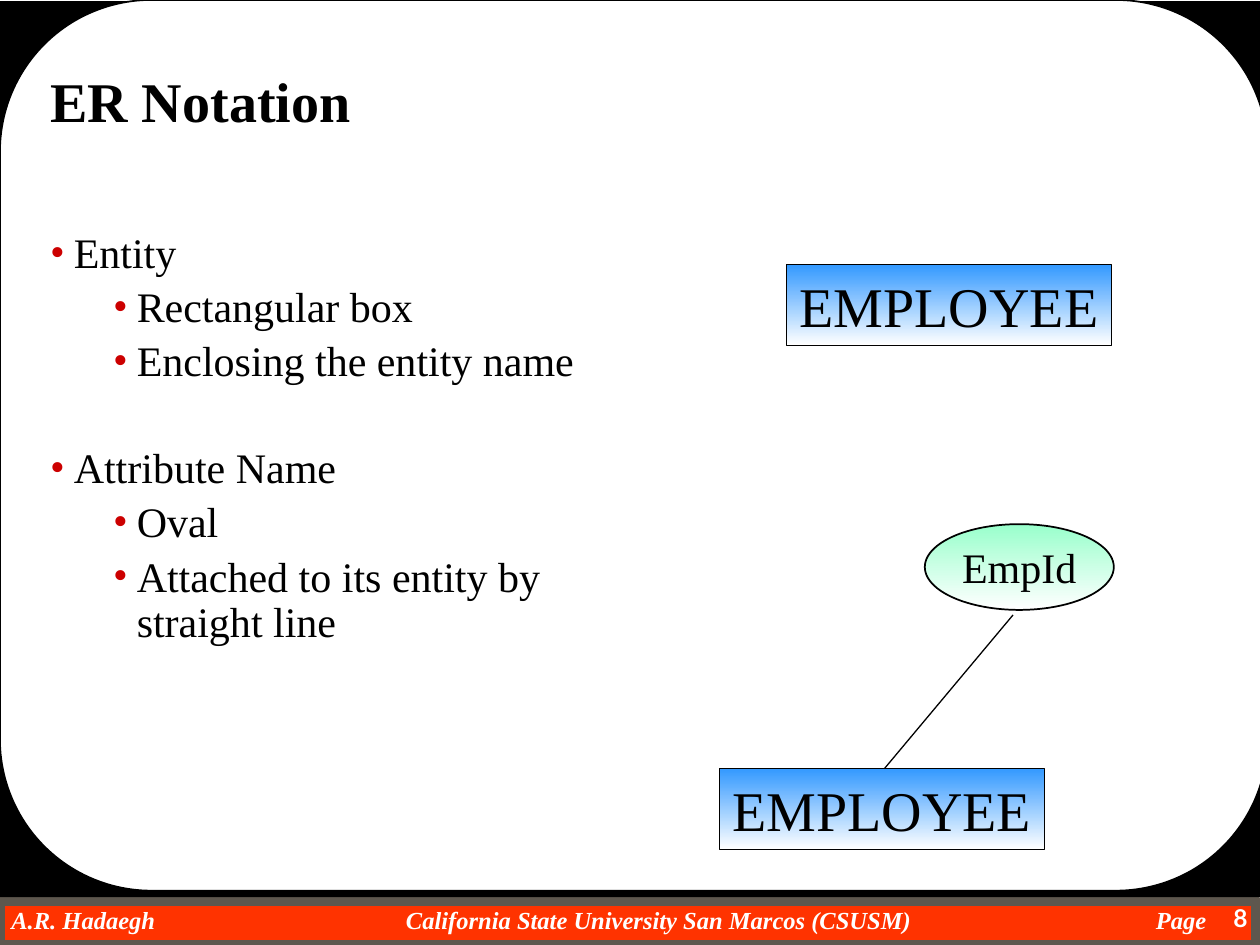
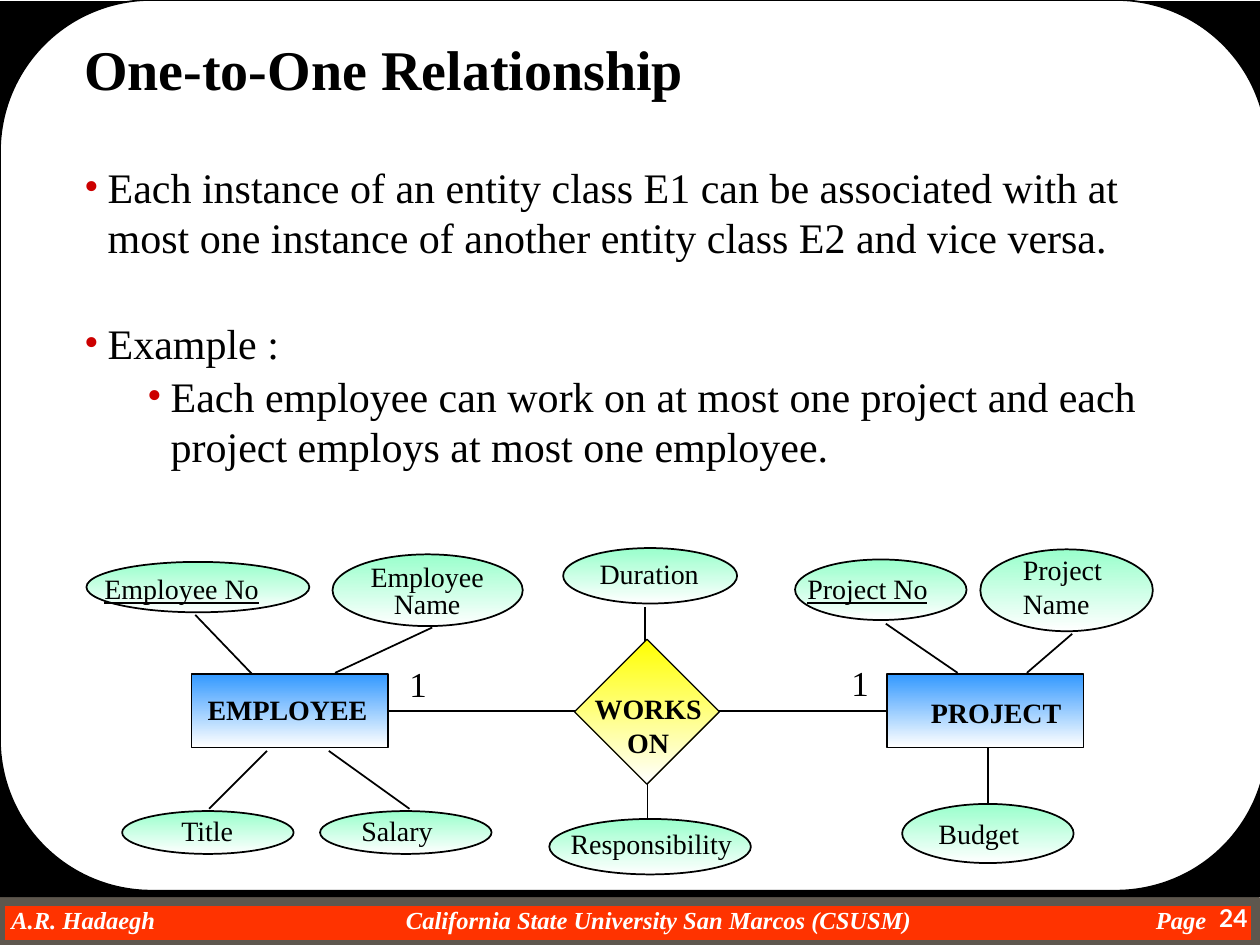
"""Build two entity-relationship lecture slides with a shared frame and footer."""
from dataclasses import dataclass
from typing import NamedTuple

from lxml.etree import SubElement
from pptx import Presentation
from pptx.dml.color import RGBColor
from pptx.enum.shapes import MSO_CONNECTOR, MSO_SHAPE
from pptx.enum.text import MSO_ANCHOR, MSO_AUTO_SIZE, PP_ALIGN
from pptx.oxml.ns import qn
from pptx.util import Pt

COLORS = {
    "ink": "000000",
    "paper": "FFFFFF",
    "band": "FF3300",
    "band_edge": "5E574E",
    "bullet": "CC0000",
    "entity": "3399FF",
    "attribute": "99FFCC",
    "relationship": "FFFF00",
}
SERIF = "Times New Roman"
PAGE_FONT = "Lato"
FOOTER = "A.R. Hadaegh\tCalifornia State University San Marcos (CSUSM)\tPage"
FOOTER_TABS = (225.5, 654)
INDENTS = (13.5, 49.5)
HANGING = 13.5


class Box(NamedTuple):
    left: float
    top: float
    width: float
    height: float

    def points(self) -> list:
        return [Pt(value) for value in self]


class Link(NamedTuple):
    x1: float
    y1: float
    x2: float
    y2: float


class Bullet(NamedTuple):
    text: str
    level: int
    before: float


@dataclass(frozen=True)
class Style:
    size: float = 16
    color: str = "ink"
    font: str = SERIF
    bold: bool = False
    italic: bool = False
    underline: bool = False
    align: PP_ALIGN = PP_ALIGN.LEFT
    spacing: float = 1.0


@dataclass(frozen=True)
class Kind:
    preset: MSO_SHAPE
    color: str
    edge: float


@dataclass(frozen=True)
class Node:
    kind: Kind
    box: Box
    label: str
    label_box: Box
    style: Style = Style()


ENTITY = Kind(MSO_SHAPE.RECTANGLE, "entity", 0.75)
ATTRIBUTE = Kind(MSO_SHAPE.OVAL, "attribute", 1)
RELATIONSHIP = Kind(MSO_SHAPE.DIAMOND, "relationship", 0.75)

TITLE = Style(32, bold=True, spacing=0.8)
FOOTER_STYLE = Style(14, "paper", bold=True, italic=True)
PAGE_STYLE = Style(14, "paper", PAGE_FONT, bold=True, align=PP_ALIGN.RIGHT)
BIG_ENTITY = Style(32, align=PP_ALIGN.CENTER)
BIG_ATTRIBUTE = Style(24, align=PP_ALIGN.CENTER)
ENTITY_NAME = Style(bold=True)
RELATIONSHIP_NAME = Style(bold=True, align=PP_ALIGN.CENTER)
KEY = Style(underline=True)
TIGHT = Style(align=PP_ALIGN.CENTER, spacing=0.8)
CARDINALITY = Style(20)

NOTATION_BULLETS = [
    Bullet("Entity", 0, 56.5),
    Bullet("Rectangular box", 1, 5),
    Bullet("Enclosing the entity name", 1, 5),
    Bullet("Attribute Name", 0, 35.5),
    Bullet("Oval", 1, 5),
    Bullet("Attached to its entity by straight line", 1, 5),
]
RELATION_BULLETS = [
    Bullet("Each instance of an entity class E1 can be associated with at most one "
           "instance of another entity class E2 and vice versa.", 0, 34),
    Bullet("Example :", 0, 31.5),
    Bullet("Each employee can work on at most one project and each project employs "
           "at most one employee.", 1, 1.5),
]
NOTATION_NODES = [
    (ENTITY, Box(449.5, 151.2, 185.8, 46.1), "EMPLOYEE", BIG_ENTITY),
    (ENTITY, Box(411.1, 439.2, 185.8, 46.1), "EMPLOYEE", BIG_ENTITY),
    (ATTRIBUTE, Box(528.5, 299.5, 108, 49), "EmpId", BIG_ATTRIBUTE),
]
RELATION_NODES = [
    Node(ENTITY, Box(109.4, 385.2, 112.3, 41.8), "EMPLOYEE",
         Box(111.6, 392.4, 105.8, 26), ENTITY_NAME),
    Node(ENTITY, Box(506.9, 385.2, 112.3, 41.8), "PROJECT",
         Box(524.9, 393.8, 90, 26), ENTITY_NAME),
    Node(RELATIONSHIP, Box(328.3, 365.3, 82.8, 82.8), "WORKS\nON",
         Box(332.6, 391.7, 75.6, 45.4), RELATIONSHIP_NAME),
    Node(ATTRIBUTE, Box(49.4, 321.1, 127.4, 28.8), "Employee No",
         Box(52.6, 323.3, 103, 26), KEY),
    Node(ATTRIBUTE, Box(190, 316.8, 108.7, 41), "Employee\nName",
         Box(204.5, 319.7, 79.2, 37.4), TIGHT),
    Node(ATTRIBUTE, Box(69.8, 463.5, 98, 24.5), "Title", Box(96.5, 461.5, 44.6, 26)),
    Node(ATTRIBUTE, Box(182.9, 463.5, 98, 24.5), "Salary", Box(199.4, 461.5, 55.4, 26)),
    Node(ATTRIBUTE, Box(321.8, 313.2, 99.4, 31.7), "Duration",
         Box(335.5, 314.6, 71.3, 26)),
    Node(ATTRIBUTE, Box(313.9, 468, 115.2, 31.7), "Responsibility",
         Box(319, 468.7, 107.3, 26)),
    Node(ATTRIBUTE, Box(454.3, 319.7, 98, 34.6), "Project No",
         Box(454.3, 323.3, 83.5, 26), KEY),
    Node(ATTRIBUTE, Box(560.2, 313.9, 98.6, 46.8), "Project\nName",
         Box(577.4, 312.5, 59.8, 45.4)),
    Node(ATTRIBUTE, Box(515.5, 459.4, 98, 33.8), "Budget", Box(529.2, 463, 60.5, 26)),
]
RELATION_LINKS = [
    Link(111.6, 351.4, 145.4, 386.6),
    Link(247, 358.6, 191.5, 384.5),
    Link(152.6, 429.1, 119.5, 462.2),
    Link(187.9, 429.1, 234, 462.2),
    Link(221, 406.1, 337, 406.1),
    Link(406.8, 406.1, 506.9, 406.1),
    Link(368.6, 347, 368.6, 367.2),
    Link(370, 447.8, 370, 468),
    Link(506.2, 356.4, 547.2, 384.5),
    Link(612.7, 362.2, 586.8, 384.5),
    Link(564.5, 427.7, 564.5, 459.4),
]
CARDINALITY_BOXES = [Box(226.8, 375.1, 24.5, 31), Box(479.5, 374.4, 24.5, 31)]


def rgb(name: str) -> RGBColor:
    return RGBColor.from_string(COLORS[name])


def add_text(paragraph, text: str, style: Style) -> None:
    paragraph.alignment = style.align
    paragraph.line_spacing = style.spacing
    run = paragraph.add_run()
    run.text = text
    font = run.font
    font.name, font.size, font.color.rgb = style.font, Pt(style.size), rgb(style.color)
    font.bold, font.italic, font.underline = style.bold, style.italic, style.underline


def write_lines(frame, text: str, style: Style) -> None:
    for number, line in enumerate(text.split("\n")):
        add_text(frame.add_paragraph() if number else frame.paragraphs[0], line, style)


def add_label(slide, box: Box, text: str, style: Style, wrap: bool = False):
    frame = slide.shapes.add_textbox(*box.points()).text_frame
    frame.word_wrap = wrap
    if not wrap:
        frame.auto_size = MSO_AUTO_SIZE.SHAPE_TO_FIT_TEXT
    write_lines(frame, text, style)
    return frame


def add_block(slide, preset: MSO_SHAPE, box: Box, fill: str, line: str, edge: float):
    block = slide.shapes.add_shape(preset, *box.points())
    block.shadow.inherit = False
    block.fill.solid()
    block.fill.fore_color.rgb = rgb(fill)
    block.line.color.rgb = rgb(line)
    block.line.width = Pt(edge)
    return block


def add_figure(slide, kind: Kind, box: Box):
    figure = add_block(slide, kind.preset, box, kind.color, "ink", kind.edge)
    figure.fill.gradient()
    figure.fill.gradient_angle = 270
    for stop, color in zip(figure.fill.gradient_stops, (kind.color, "paper")):
        stop.color.rgb = rgb(color)
    return figure


def add_link(slide, link: Link, width: float) -> None:
    connector = slide.shapes.add_connector(
        MSO_CONNECTOR.STRAIGHT, *[Pt(value) for value in link])
    connector.line.color.rgb = rgb("ink")
    connector.line.width = Pt(width)
    SubElement(connector._element.spPr, qn("a:effectLst"))


def add_frame(slide, page: int) -> None:
    add_block(slide, MSO_SHAPE.RECTANGLE, Box(0, 514.8, 717.8, 25.2),
              "band", "band_edge", 6)
    credit = slide.shapes.add_textbox(*Box(6.5, 517, 690.5, 16.6).points()).text_frame
    credit.margin_left = credit.margin_right = credit.margin_top = credit.margin_bottom = 0
    credit.word_wrap = True
    tabs = SubElement(credit.paragraphs[0]._p.get_or_add_pPr(), qn("a:tabLst"))
    for position in FOOTER_TABS:
        SubElement(tabs, qn("a:tab"), pos=str(Pt(position)), algn="l")
    add_text(credit.paragraphs[0], FOOTER, FOOTER_STYLE)
    backdrop = add_block(slide, MSO_SHAPE.RECTANGLE, Box(0, 0.7, 720, 512),
                         "ink", "ink", 0.75)
    backdrop.line.fill.background()
    panel = add_block(slide, MSO_SHAPE.ROUNDED_RECTANGLE, Box(0, 0, 724.3, 509),
                      "paper", "ink", 1)
    panel.adjustments[0] = 0.17
    add_label(slide, Box(666, 512.6, 54, 27.4), str(page), PAGE_STYLE, wrap=True)


def add_outline(slide, box: Box, title: str, bullets: list[Bullet], spacing: float) -> None:
    frame = add_label(slide, box, title, TITLE, wrap=True)
    for bullet in bullets:
        paragraph = frame.add_paragraph()
        properties = paragraph._p.get_or_add_pPr()
        properties.set("marL", str(Pt(INDENTS[bullet.level])))
        properties.set("indent", str(-Pt(HANGING)))
        tint = SubElement(properties, qn("a:buClr"))
        SubElement(tint, qn("a:srgbClr"), val=COLORS["bullet"])
        SubElement(properties, qn("a:buFont"), typeface=SERIF)
        SubElement(properties, qn("a:buChar"), char="•")
        paragraph.level = bullet.level
        paragraph.space_before = Pt(bullet.before)
        add_text(paragraph, bullet.text, Style(24, spacing=spacing))


def build_notation(slide) -> None:
    add_frame(slide, 8)
    add_outline(slide, Box(21.6, 41.8, 347.8, 340.6), "ER Notation", NOTATION_BULLETS, 0.9)
    for kind, box, name, style in NOTATION_NODES:
        frame = add_figure(slide, kind, box).text_frame
        frame.vertical_anchor = MSO_ANCHOR.MIDDLE
        frame.word_wrap = False
        write_lines(frame, name, style)
    add_link(slide, Link(578.9, 351.4, 505.4, 439.2), 0.75)


def build_relationship(slide) -> None:
    add_frame(slide, 24)
    add_outline(slide, Box(41, 23.8, 653, 249.1), "One-to-One Relationship",
                RELATION_BULLETS, 1.0)
    for link in RELATION_LINKS:
        add_link(slide, link, 1)
    for node in RELATION_NODES:
        add_figure(slide, node.kind, node.box)
        add_label(slide, node.label_box, node.label, node.style)
    for box in CARDINALITY_BOXES:
        add_label(slide, box, "1", CARDINALITY)


def main() -> None:
    deck = Presentation()
    deck.slide_width, deck.slide_height = Pt(720), Pt(540)
    for build in (build_notation, build_relationship):
        build(deck.slides.add_slide(deck.slide_layouts[6]))
    deck.save("out.pptx")


if __name__ == "__main__":
    main()
